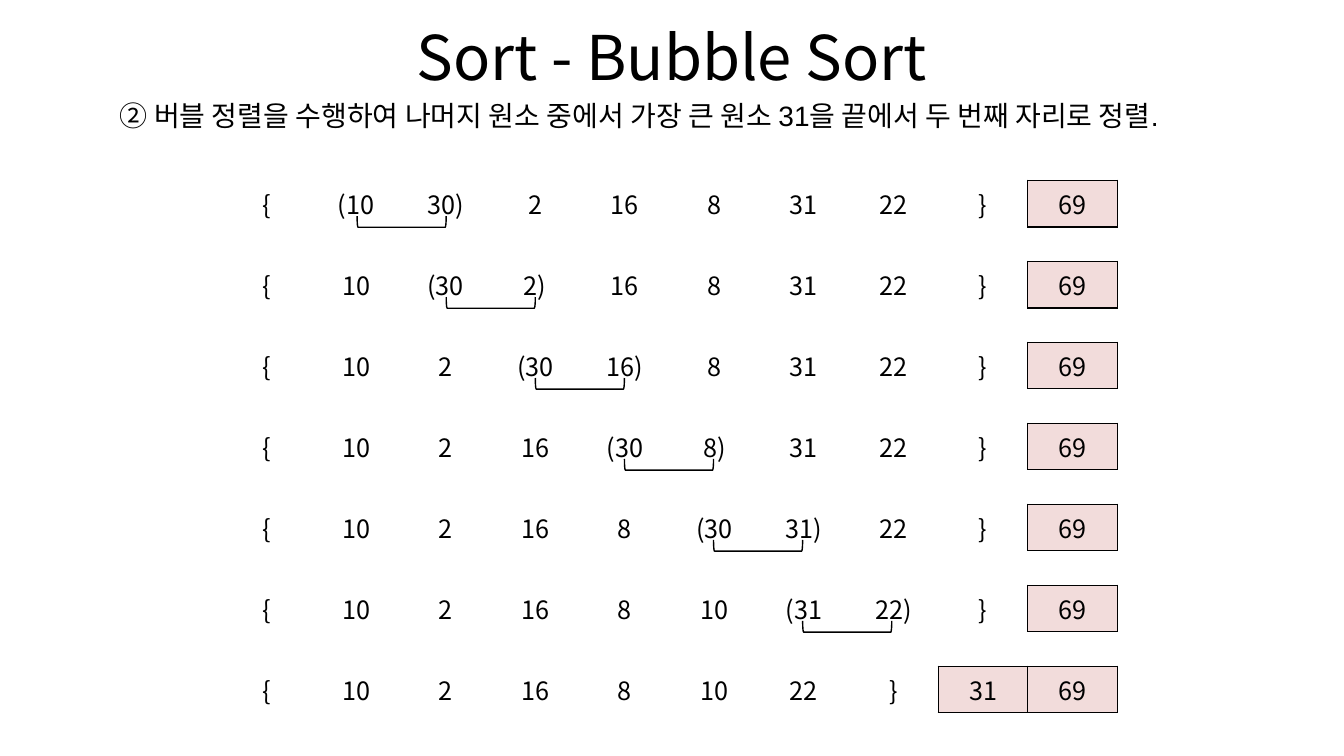
from lxml.etree import SubElement
from pptx import Presentation
from pptx.dml.color import RGBColor
from pptx.enum.shapes import MSO_SHAPE
from pptx.enum.text import MSO_ANCHOR, MSO_AUTO_SIZE, PP_ALIGN
from pptx.oxml import parse_xml
from pptx.oxml.ns import nsdecls, qn
from pptx.util import Pt

COLORS = {"text": "000000", "open": "FFFFFF", "sorted": "F2DCDB"}
KOREAN = "Noto Sans CJK KR"
COL_W, ROW_H = 64, 29.5
BRACKET_W, BRACKET_H = 63.65, 8

# Each pass: cells between the braces, then the sorted tail
PASSES = [
    ("(10 30) 2 16 8 31 22", "69"),
    ("10 (30 2) 16 8 31 22", "69"),
    ("10 2 (30 16) 8 31 22", "69"),
    ("10 2 16 (30 8) 31 22", "69"),
    ("10 2 16 8 (30 31) 22", "69"),
    ("10 2 16 8 10 (31 22)", "69"),
    ("10 2 16 8 10 22", "31 69"),
]


def rgb(name):
    return RGBColor.from_string(COLORS[name])


def write(tf, text, size=18, font=KOREAN, align=PP_ALIGN.CENTER):
    p = tf.paragraphs[0]
    p.alignment = align
    r = p.add_run()
    r.text = text
    r.font.size = Pt(size)
    r.font.name = font
    r.font.color.rgb = rgb("text")
    SubElement(r.font._element, qn("a:ea")).set("typeface", KOREAN)
    return p


def add_borders(cell, sides):
    """Draw black borders on the sides given as letters of LRTB."""
    tc_pr = cell._tc.get_or_add_tcPr()
    for i, side in enumerate(sides):
        tc_pr.insert(i, parse_xml(
            f'<a:ln{side} {nsdecls("a")} w="12700"><a:solidFill>'
            f'<a:srgbClr val="{COLORS["text"]}"/></a:solidFill></a:ln{side}>'))


def add_title(s, x, y, w, h):
    title = s.shapes.title
    title.left, title.top, title.width, title.height = Pt(x), Pt(y), Pt(w), Pt(h)
    tf = title.text_frame
    tf.auto_size = MSO_AUTO_SIZE.NONE
    tf.vertical_anchor = MSO_ANCHOR.MIDDLE
    write(tf, "Sort - Bubble Sort", size=44)


def add_step_text(s, x, y, w, h):
    tf = s.shapes.add_textbox(Pt(x), Pt(y), Pt(w), Pt(h)).text_frame
    tf.word_wrap = True
    p = write(tf, "② 버블 정렬을 수행하여 나머지 원소 중에서 가장 큰 원소 31을 끝에서 두 번째 자리로 정렬.",
              size=20, font="Arial", align=PP_ALIGN.LEFT)
    p.level = 1
    p_pr = p._p.get_or_add_pPr()
    p_pr.set("marL", str(Pt(71.25)))
    p_pr.set("indent", str(Pt(-21.6)))


def add_pass(s, x, y, unsorted, done):
    values = ["{", *unsorted.split(), "}"]
    first_sorted = len(values)
    values += done.split()
    table = s.shapes.add_table(1, len(values), Pt(x), Pt(y),
                               Pt(COL_W * len(values)), Pt(ROW_H)).table
    table.first_row = table.horz_banding = False
    for i, value in enumerate(values):
        table.columns[i].width = Pt(COL_W)
        cell = table.cell(0, i)
        cell.vertical_anchor = MSO_ANCHOR.MIDDLE
        cell.fill.solid()
        cell.fill.fore_color.rgb = rgb("sorted" if i >= first_sorted else "open")
        write(cell.text_frame, value)
        if i >= first_sorted:
            add_borders(cell, "LRTB")
        elif i == first_sorted - 1:
            add_borders(cell, "R")


def add_bracket(s, cx, cy):
    """Join the compared pair with a bracket centred on the given point."""
    sp = s.shapes.add_shape(MSO_SHAPE.LEFT_BRACKET, Pt(cx - BRACKET_H / 2),
                            Pt(cy - BRACKET_W / 2), Pt(BRACKET_H), Pt(BRACKET_W))
    sp.rotation = 270
    sp.shadow.inherit = False
    sp.fill.background()
    sp.line.color.rgb = rgb("text")
    sp.line.width = Pt(1)


def add_passes(s, x, y, step):
    for i, (unsorted, done) in enumerate(PASSES):
        add_pass(s, x, y + i * step, unsorted, done)
    for i, (unsorted, _) in enumerate(PASSES):
        if "(" in unsorted:
            add_bracket(s, x + 2 * COL_W + 0.5 + i * BRACKET_W, y + ROW_H + i * step)


def main():
    prs = Presentation()
    prs.slide_width, prs.slide_height = Pt(960), Pt(540)
    s = prs.slides.add_slide(prs.slide_layouts[5])
    add_passes(s, 158.4, 128.8, 57.85)
    add_step_text(s, 28.8, 67, 900, 31.5)
    add_title(s, 48, 9.5, 864, 61)
    prs.save("out.pptx")


if __name__ == "__main__":
    main()
